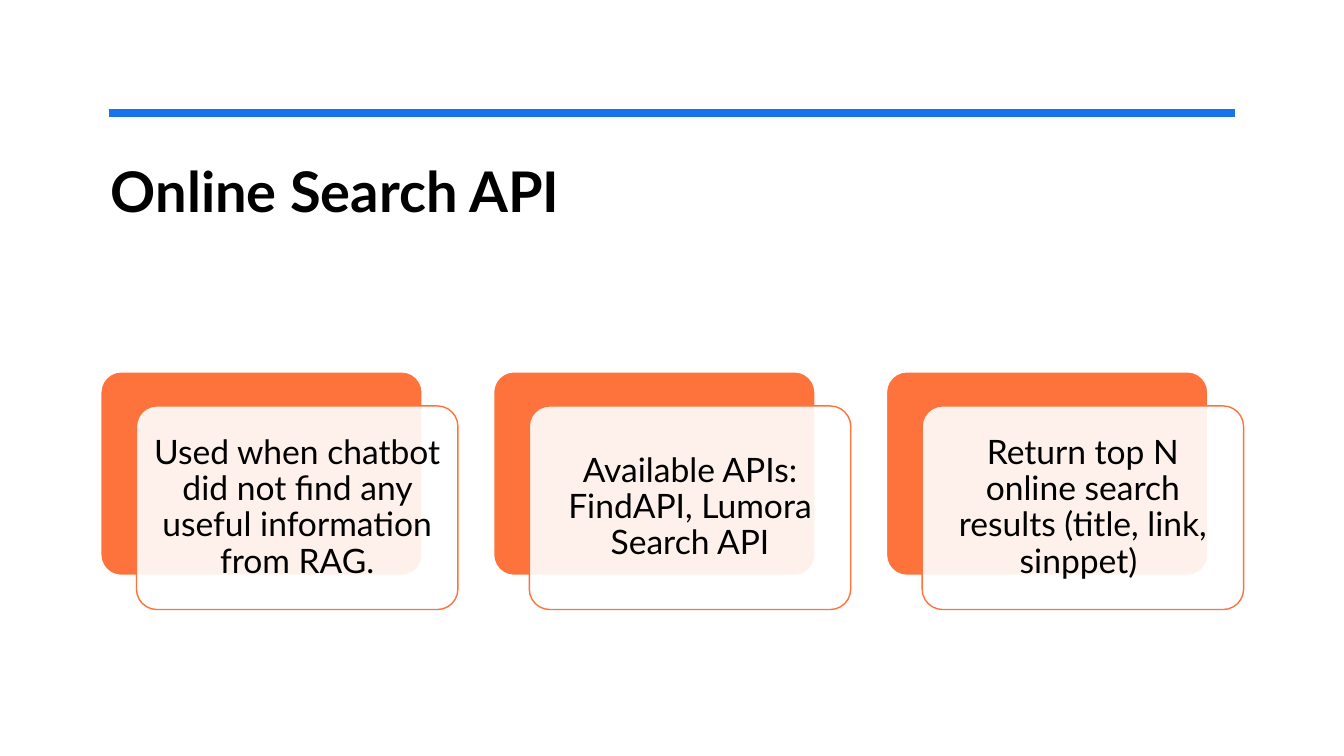
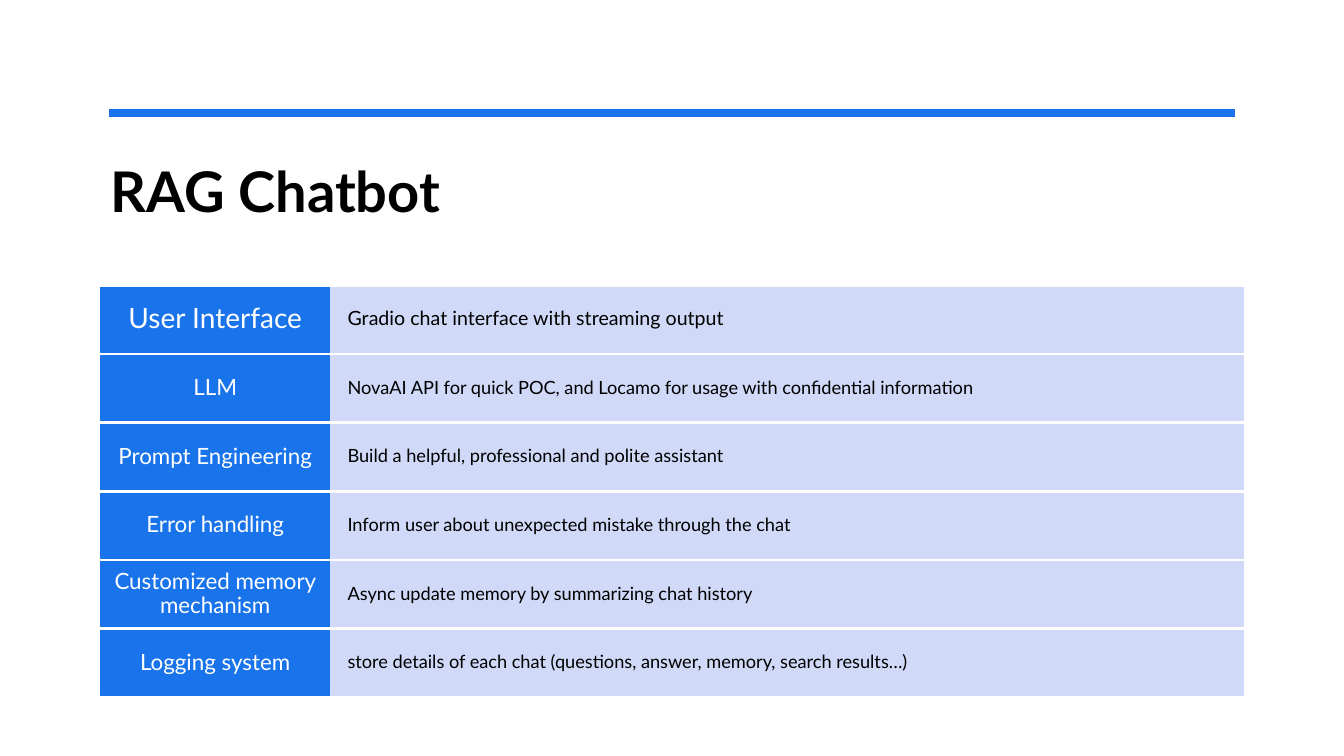
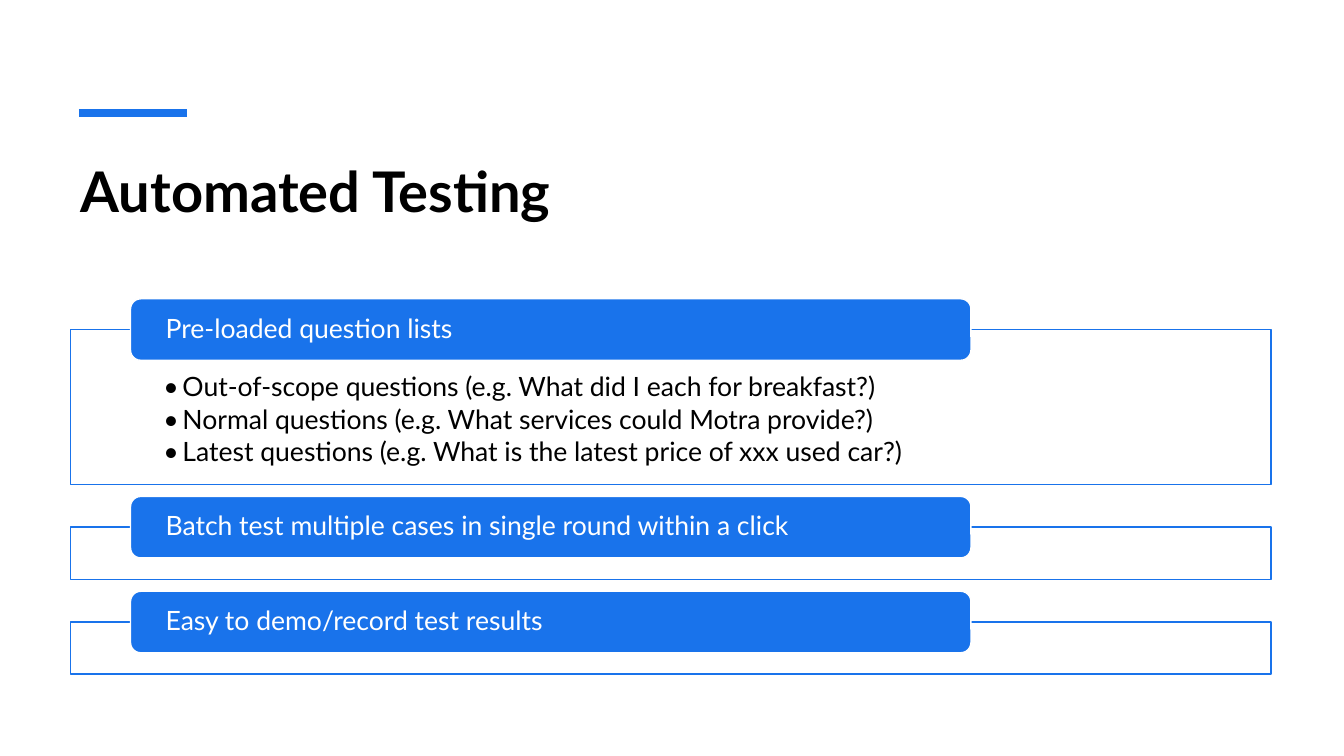
from lxml import etree
from pptx import Presentation
from pptx.dml.color import RGBColor
from pptx.enum.shapes import MSO_CONNECTOR, MSO_SHAPE
from pptx.enum.text import MSO_ANCHOR, MSO_AUTO_SIZE, PP_ALIGN
from pptx.oxml.ns import qn
from pptx.util import Cm, Pt

RECT, ROUNDED = MSO_SHAPE.RECTANGLE, MSO_SHAPE.ROUNDED_RECTANGLE
STRAIGHT = MSO_CONNECTOR.STRAIGHT
LEFT, CENTER = PP_ALIGN.LEFT, PP_ALIGN.CENTER
TOP, MIDDLE = MSO_ANCHOR.TOP, MSO_ANCHOR.MIDDLE
NO_AUTOFIT = MSO_AUTO_SIZE.NONE

BLUE = RGBColor(0x19, 0x73, 0xEB)
PALE_BLUE = RGBColor(0xD1, 0xD9, 0xF8)
ORANGE = RGBColor(0xFE, 0x73, 0x3C)
WHITE = RGBColor(0xFF, 0xFF, 0xFF)
BLACK = RGBColor(0x00, 0x00, 0x00)
FONT = "Lato"

SEARCH_NOTES = [
    "Used when chatbot did not find any useful information from RAG.",
    "Available APIs: FindAPI, Lumora Search API",
    "Return top N online search results (title, link, sinppet) ",
]

# label, label size, description, description size
CHATBOT_PARTS = [
    ("User Interface", 20, "Gradio chat interface with streaming output", 14),
    ("LLM", 16, "NovaAI API for quick POC, and Locamo for usage with confidential information", 13),
    ("Prompt Engineering", 16, "Build a helpful, professional and polite assistant", 13),
    ("Error handling", 16, "Inform user about unexpected mistake through the chat", 13),
    ("Customized memory mechanism", 16, "Async update memory by summarizing chat history", 13),
    ("Logging system", 16,
     "store details of each chat (questions, answer, memory, search results…)", 13),
]

# heading, bullets, panel height in cm
TESTING_SECTIONS = [
    ("Pre-loaded question lists", [
        "Out-of-scope questions (e.g. What did I each for breakfast?)",
        "Normal questions (e.g. What services could Motra provide?)",
        "Latest questions (e.g. What is the latest price of xxx used car?)",
    ], 3.91),
    ("Batch test multiple cases in single round within a click", [], 1.32),
    ("Easy to demo/record test results", [], 1.32),
]


def add_titled_slide(deck, title_text, title_left, rule_left, rule_right):
    """Add a slide with its bold title and the blue rule above it."""
    slide = deck.slides.add_slide(deck.slide_layouts[5])
    title = slide.shapes.title
    title.left, title.top = Cm(title_left), Cm(3.81)
    title.width, title.height = Cm(28.78), Cm(3.1)
    frame = title.text_frame
    frame.text = title_text
    frame.auto_size = NO_AUTOFIT
    frame.vertical_anchor = TOP
    style_paragraph(frame.paragraphs[0], 40, BLACK, LEFT, spacing=1, bold=True)

    rule = slide.shapes.add_connector(
        STRAIGHT, Cm(rule_left), Cm(2.85), Cm(rule_right), Cm(2.85))
    rule.line.color.rgb = BLUE
    rule.line.width = Pt(6)
    etree.SubElement(rule._element.spPr, qn("a:effectLst"))
    return slide


def style_paragraph(paragraph, size, color, align, spacing=0.9, bold=False):
    paragraph.alignment = align
    paragraph.line_spacing = spacing
    font = paragraph.font
    font.name, font.size, font.bold = FONT, Pt(size), bold
    font.color.rgb = color


def add_box(slide, preset, left, top, width, height, fill, outline):
    box = slide.shapes.add_shape(preset, Cm(left), Cm(top), Cm(width), Cm(height))
    box.shadow.inherit = False
    box.fill.solid()
    box.fill.fore_color.rgb = fill
    box.line.color.rgb = outline
    box.line.width = Pt(1)
    return box


def fill_text(box, lines, size, color, align, anchor, margins):
    """Write one paragraph per line; margins are left, top, right, bottom in cm."""
    frame = box.text_frame
    frame.word_wrap = True
    frame.vertical_anchor = anchor
    (frame.margin_left, frame.margin_top,
     frame.margin_right, frame.margin_bottom) = map(Cm, margins)
    frame.text = "\n".join(lines)
    for paragraph in frame.paragraphs:
        style_paragraph(paragraph, size, color, align)


def set_opacity(box, percent):
    color = box.fill._xPr.find(qn("a:solidFill"))[0]
    etree.SubElement(color, qn("a:alpha"), val=str(percent * 1000))


def add_bullet(paragraph, indent):
    properties = paragraph._p.get_or_add_pPr()
    properties.set("marL", str(indent))
    properties.set("indent", str(-indent))
    text_style = properties.find(qn("a:defRPr"))
    text_style.addprevious(etree.Element(qn("a:buFont"), typeface=FONT))
    text_style.addprevious(etree.Element(qn("a:buChar"), char="•"))


def build_search_slide(deck):
    slide = add_titled_slide(deck, "Online Search API", 2.54, 2.74, 31.12)
    width, height, pitch, top = 8.1, 5.13, 9.9, 9.37
    for index, note in enumerate(SEARCH_NOTES):
        left = 2.54 + index * pitch
        back = add_box(slide, ROUNDED, left, top, width, height, ORANGE, WHITE)
        card = add_box(slide, ROUNDED, left + 0.9, top + 0.86, width, height, WHITE, ORANGE)
        back.adjustments[0] = card.adjustments[0] = 0.1
        set_opacity(card, 90)
        fill_text(card, [note], 24, BLACK, CENTER, MIDDLE, (0.25,) * 4)


def build_chatbot_slide(deck):
    slide = add_titled_slide(deck, "RAG Chatbot", 2.54, 2.74, 31.12)
    left, label_width, description_width = 2.54, 5.77, 23.03
    height, pitch = 1.63, 1.73
    for index, (label, label_size, description, description_size) in enumerate(CHATBOT_PARTS):
        top = 7.24 + index * pitch
        description_box = add_box(slide, RECT, left + label_width, top,
                                  description_width, height, PALE_BLUE, PALE_BLUE)
        fill_text(description_box, [description], description_size, BLACK, LEFT, MIDDLE,
                  (0.45, 0.4, 0.45, 0.4))
        label_box = add_box(slide, RECT, left, top, label_width, height, BLUE, BLUE)
        fill_text(label_box, [label], label_size, WHITE, CENTER, MIDDLE,
                  (0.3, 0.15, 0.3, 0.15))


def build_testing_slide(deck):
    slide = add_titled_slide(deck, "Automated Testing", 1.78, 1.99, 4.7)
    top, gap = 8.3, 1.07
    for heading, bullets, height in TESTING_SECTIONS:
        panel = add_box(slide, RECT, 1.78, top, 30.25, height, WHITE, BLUE)
        if bullets:
            fill_text(panel, bullets, 19, BLACK, LEFT, TOP, (2.34, 1.12, 2.34, 0.38))
            for paragraph in panel.text_frame.paragraphs:
                paragraph.space_after = Pt(2.6)
                add_bullet(paragraph, Cm(0.48))
        header = add_box(slide, ROUNDED, 3.29, top - 0.77, 21.18, 1.55, BLUE, WHITE)
        fill_text(header, [heading], 19, WHITE, LEFT, MIDDLE, (0.81, 0, 0.81, 0))
        top += height + gap


def main():
    deck = Presentation()
    deck.slide_width, deck.slide_height = Cm(33.87), Cm(19.05)
    build_search_slide(deck)
    build_chatbot_slide(deck)
    build_testing_slide(deck)
    deck.save("out.pptx")


if __name__ == "__main__":
    main()
